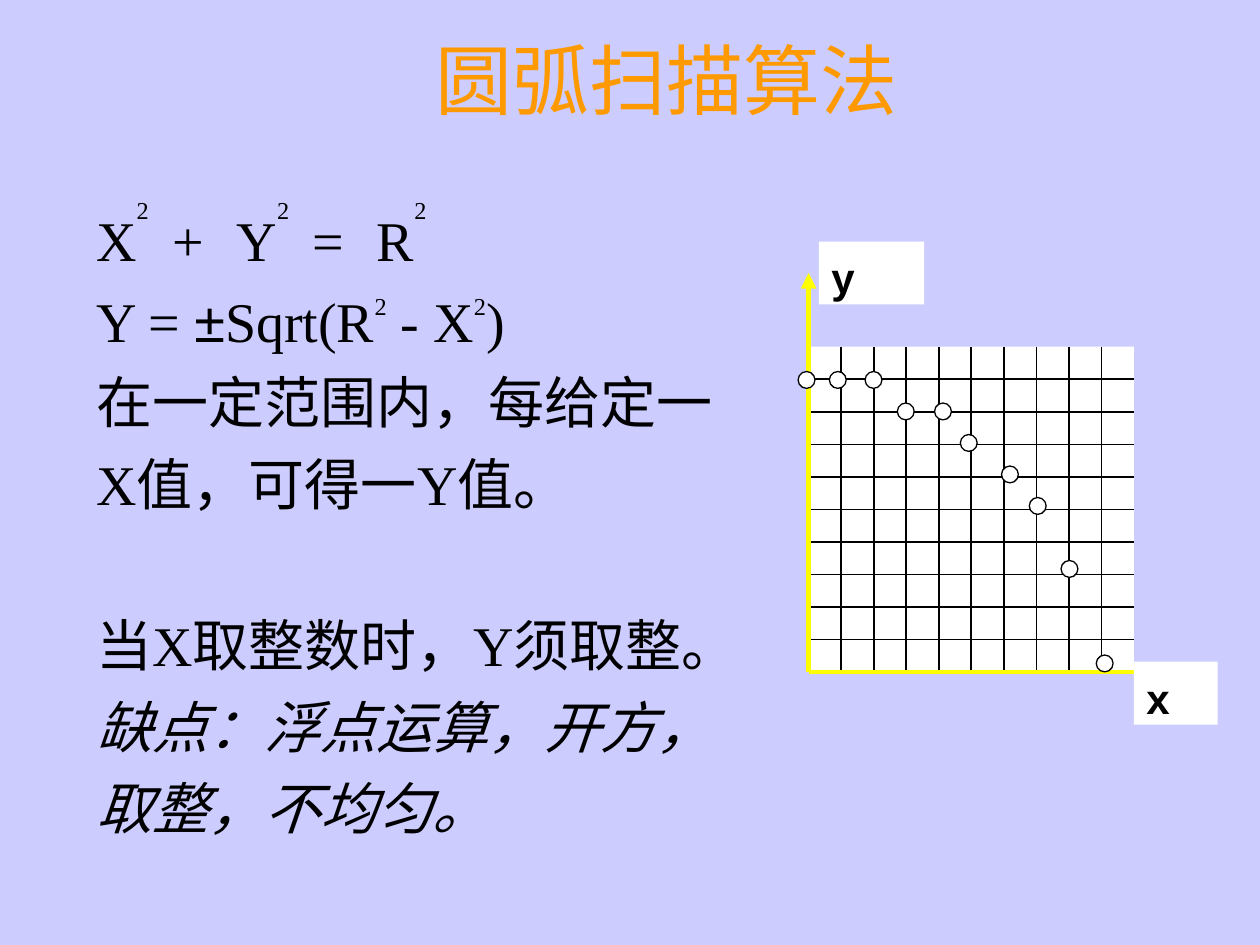
from lxml.etree import SubElement
from pptx import Presentation
from pptx.dml.color import RGBColor
from pptx.enum.shapes import MSO_CONNECTOR, MSO_SHAPE
from pptx.enum.text import MSO_ANCHOR, PP_ALIGN
from pptx.oxml.ns import qn
from pptx.util import Cm, Pt

LAVENDER = RGBColor(0xCC, 0xCC, 0xFF)
ORANGE = RGBColor(0xFF, 0x99, 0x00)
YELLOW = RGBColor(0xFF, 0xFF, 0x00)
WHITE = RGBColor(0xFF, 0xFF, 0xFF)
BLACK = RGBColor(0, 0, 0)
SERIF, SANS = "Times New Roman", "Arial"

TITLE = "圆弧扫描算法"
HIGH = {"size": 24, "baseline": 100000}
LOW = {"size": 24, "baseline": 64000}
WIDE = {"tracking": 533}
ITALIC = {"italic": True}
BODY = [
    (6, [("X", {}), ("2", HIGH), (" + ", WIDE), ("Y", {}), ("2", HIGH),
         (" = ", WIDE), ("R", {}), ("2", HIGH)]),
    (8, [("Y = ", {}), ("±", {"font": SANS}), ("Sqrt(R", {}), ("2", LOW),
         (" - X", {}), ("2", LOW), (")", {})]),
    (8, [("在一定范围内，每给定一", {})]),
    (8, [("X值，可得一Y值。", {})]),
    (54, [("当X取整数时，Y须取整。", {})]),
    (8, [("缺点：浮点运算，开方，", ITALIC)]),
    (8, [("取整，不均匀。", ITALIC)]),
]

CELLS = 10
LEFT, TOP, RIGHT, BOTTOM = 16.3, 6.99, 22.86, 13.55
AXES = [((LEFT, 5.5), 3), ((24.13, BOTTOM), 2.25)]
DOT_SIZE, DOT_TOP, DOT_STEP = 0.34, 7.49, 0.635
DOTS = [(16.09, 0), (16.72, 0), (17.44, 0), (18.09, 1), (18.84, 1),
        (19.36, 2), (20.19, 3), (20.75, 4), (21.39, 6), (22.1, 9)]
LABELS = [("y", 16.51, 4.87, 2.12), ("x", 22.86, 13.34, 1.69)]


def add_text(paragraph, text, font=SERIF, size=32, color=BLACK, bold=False,
             italic=False, baseline=None, tracking=None):
    run = paragraph.add_run()
    run.text = text
    run.font.name = font
    run.font.size = Pt(size)
    run.font.color.rgb = color
    run.font.bold = bold
    run.font.italic = italic
    properties = run.font._element
    if baseline:
        properties.set("baseline", str(baseline))
    if tracking:
        properties.set("spc", str(tracking))


def add_filled(shapes, kind, left, top, width, height, outline=None):
    shape = shapes.add_shape(kind, Cm(left), Cm(top), Cm(width), Cm(height))
    shape.shadow.inherit = False
    shape.fill.solid()
    shape.fill.fore_color.rgb = WHITE
    if outline:
        shape.line.color.rgb = outline
        shape.line.width = Pt(0.75)
    else:
        shape.line.fill.background()
    return shape


def add_line(shapes, start, end, color=BLACK, width=1, arrow=False):
    line = shapes.add_connector(MSO_CONNECTOR.STRAIGHT,
                                *(Cm(value) for value in (*start, *end)))
    line.line.color.rgb = color
    line.line.width = Pt(width)
    if arrow:
        SubElement(line.line._get_or_add_ln(), qn("a:tailEnd"), type="triangle")
    SubElement(line._element.spPr, qn("a:effectLst"))


def add_heading(slide):
    title = slide.shapes.title
    title.left, title.top, title.width, title.height = Cm(3.39), Cm(0), Cm(20.11), Cm(3.18)
    title.text_frame.vertical_anchor = MSO_ANCHOR.MIDDLE
    paragraph = title.text_frame.paragraphs[0]
    paragraph.alignment = PP_ALIGN.CENTER
    add_text(paragraph, TITLE, size=44, color=ORANGE)


def add_body(slide):
    frame = slide.shapes.add_textbox(Cm(1.69), Cm(3.81), Cm(21.59), Cm(13.34)).text_frame
    frame.word_wrap = True
    for index, (space, runs) in enumerate(BODY):
        paragraph = frame.add_paragraph() if index else frame.paragraphs[0]
        paragraph.space_before = Pt(space)
        for text, style in runs:
            add_text(paragraph, text, **style)


def add_diagram(slide):
    shapes = slide.shapes.add_group_shape().shapes
    cell_width = (RIGHT - LEFT) / CELLS
    cell_height = (BOTTOM - TOP) / CELLS
    columns = [LEFT + cell_width * index for index in range(CELLS)]
    rows = [TOP + cell_height * index for index in range(CELLS)]
    for y in rows:
        for x in columns:
            add_filled(shapes, MSO_SHAPE.RECTANGLE, x, y, cell_width, cell_height)
    for y in rows[1:]:
        add_line(shapes, (LEFT, y), (RIGHT, y))
    for x in columns[1:]:
        add_line(shapes, (x, TOP), (x, BOTTOM))
    for end, width in AXES:
        add_line(shapes, (LEFT, BOTTOM), end, YELLOW, width, arrow=True)
    for x, step in DOTS:
        add_filled(shapes, MSO_SHAPE.OVAL, x, DOT_TOP + DOT_STEP * step,
                   DOT_SIZE, DOT_SIZE, outline=BLACK)
    for text, left, top, width in LABELS:
        label = add_filled(shapes, MSO_SHAPE.RECTANGLE, left, top, width, 1.27)
        frame = label.text_frame
        frame.vertical_anchor = MSO_ANCHOR.TOP
        frame.margin_top = Cm(0.21)
        frame.margin_bottom = Cm(0)
        frame.paragraphs[0].alignment = PP_ALIGN.LEFT
        add_text(frame.paragraphs[0], text, font=SANS, size=24, bold=True)


def main():
    presentation = Presentation()
    presentation.slide_width, presentation.slide_height = Cm(25.4), Cm(19.05)
    slide = presentation.slides.add_slide(presentation.slide_layouts[5])
    slide.background.fill.solid()
    slide.background.fill.fore_color.rgb = LAVENDER
    add_heading(slide)
    add_body(slide)
    add_diagram(slide)
    presentation.save("out.pptx")


if __name__ == "__main__":
    main()
